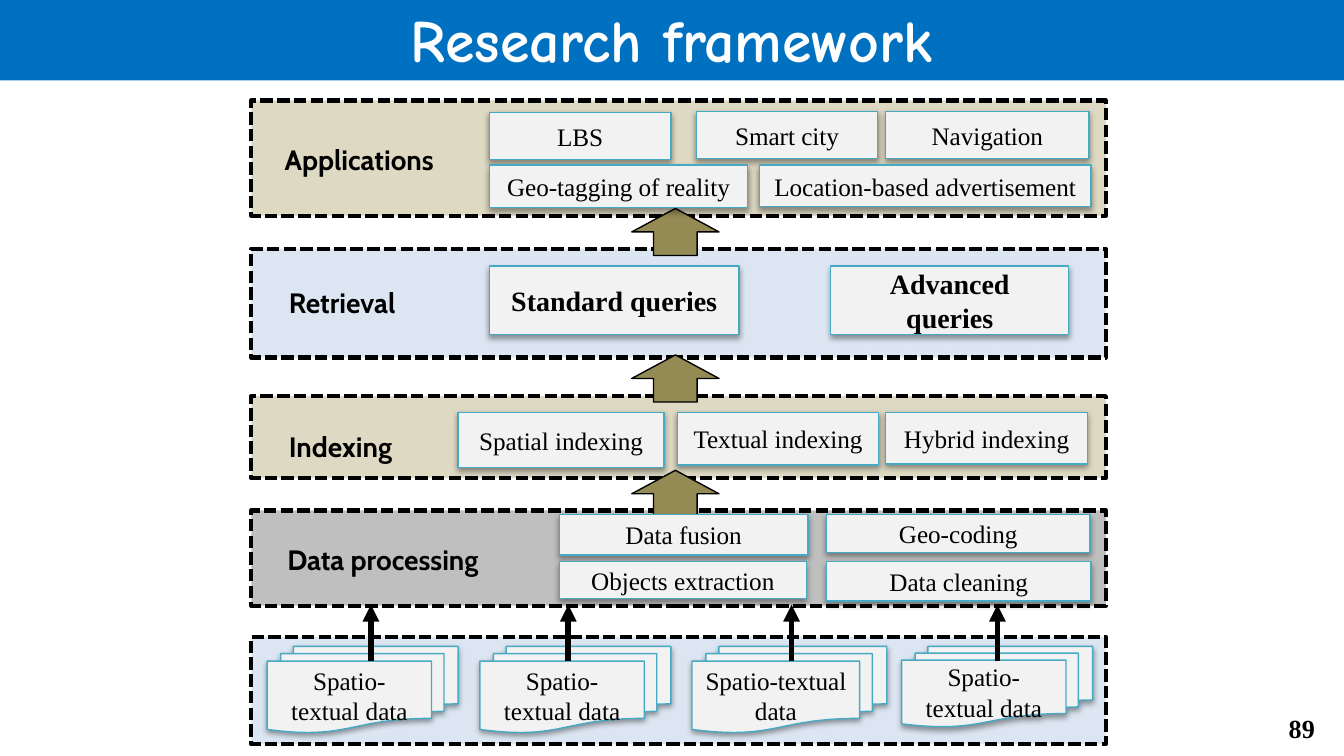
from lxml.etree import SubElement
from pptx import Presentation
from pptx.dml.color import RGBColor
from pptx.enum.dml import MSO_LINE
from pptx.enum.shapes import MSO_CONNECTOR, MSO_SHAPE as Shp
from pptx.enum.text import MSO_ANCHOR, PP_ALIGN
from pptx.oxml.ns import qn
from pptx.util import Cm, Pt

COLORS = dict(title="0070C0", white="FFFFFF", black="000000", sand="DDD9C3",
              sky="DCE6F2", gray="BFBFBF", box="F2F2F2", edge="46AAC5", arrow="948A54")
SERIF = "Times New Roman"

# Content: lengths in cm; box entries are (text, left, top, width, height)
BAND_X, BAND_W = 4.75, 16.15
LAYERS = [
    dict(top=1.9, height=2.18, fill="sand", label=("Applications", 5.13, 2.57), boxes=[
        ("LBS", 9.25, 2.13, 3.43, 0.89),
        ("Smart city", 13.16, 2.11, 3.43, 0.89),
        ("Navigation", 16.74, 2.11, 3.84, 0.89),
        ("Geo-tagging of reality", 9.25, 3.12, 4.88, 0.81),
        ("Location-based advertisement", 14.35, 3.12, 6.27, 0.79)]),
    dict(top=4.7, height=2.06, fill="sky", label=("Retrieval", 5.21, 5.28), strong=True, boxes=[
        ("Standard queries", 9.25, 5.03, 4.72, 1.3),
        ("Advanced queries", 15.7, 5.03, 4.5, 1.3)]),
    dict(top=7.49, height=1.55, fill="sand", label=("Indexing", 5.21, 8.0), boxes=[
        ("Spatial indexing", 8.66, 7.8, 3.89, 1.04),
        ("Textual indexing", 12.8, 7.8, 3.81, 0.99),
        ("Hybrid indexing", 16.74, 7.8, 3.81, 0.97)]),
    dict(top=9.65, height=1.8, fill="gray", label=("Data processing", 5.18, 10.13), boxes=[
        ("Data fusion", 10.57, 9.73, 4.7, 0.76),
        ("Geo-coding", 15.62, 9.73, 4.98, 0.71),
        ("Objects extraction", 10.57, 10.62, 4.67, 0.69),
        ("Data cleaning", 15.62, 10.62, 5.0, 0.74)]),
    dict(top=12.04, height=2.03, fill="sky", shape=Shp.FLOWCHART_MULTIDOCUMENT, boxes=[
        ("Spatio-textual data", left, 12.22, width, height)
        for left, width, height in [(5.05, 3.61, 1.63), (9.07, 3.61, 1.63),
                                    (13.08, 3.68, 1.63), (17.04, 3.61, 1.52)]]),
]
BLOCK_ARROW_TOPS = [3.94, 6.71, 8.89]
DATA_ARROW_XS = [7.01, 10.74, 14.96, 18.85]


def rgb(name):
    return RGBColor.from_string(COLORS[name])


def write(sp, text, size, font=SERIF, color="black", bold=False, align=PP_ALIGN.CENTER):
    tf = sp.text_frame
    tf.word_wrap = True
    tf.text = text
    p = tf.paragraphs[0]
    p.alignment = align
    f = p.runs[0].font
    f.size, f.name, f.bold = Pt(size), font, bold
    f.color.rgb = rgb(color)
    return tf


def add_shape(kind, x, y, w, h, fill, line, weight):
    sp = slide.shapes.add_shape(kind, Cm(x), Cm(y), Cm(w), Cm(h))
    sp.shadow.inherit = False
    sp.fill.solid()
    sp.fill.fore_color.rgb = rgb(fill)
    sp.line.color.rgb = rgb(line)
    sp.line.width = Pt(weight)
    return sp


def add_text(text, x, y, w, h, size, **style):
    write(slide.shapes.add_textbox(Cm(x), Cm(y), Cm(w), Cm(h)), text, size, bold=True, **style)


def add_shadow(sp):
    effects = sp._element.spPr.find(qn("a:effectLst"))
    shadow = SubElement(effects, qn("a:outerShdw"), blurRad="40000", dist="20000",
                        dir="5400000", rotWithShape="0")
    color = SubElement(shadow, qn("a:srgbClr"), val=COLORS["black"])
    SubElement(color, qn("a:alpha"), val="38000")


prs = Presentation()
prs.slide_width, prs.slide_height = Cm(25.4), Cm(14.29)
slide = prs.slides.add_slide(prs.slide_layouts[5])

# Title bar
title = slide.shapes.title
title.left, title.top, title.width, title.height = Cm(0), Cm(-0.05), Cm(25.4), Cm(1.57)
title.fill.solid()
title.fill.fore_color.rgb = rgb("title")
write(title, "Research framework", 32, "Comic Neue", "white", True).vertical_anchor = MSO_ANCHOR.MIDDLE

# Dashed layer bands
for layer in LAYERS:
    band = add_shape(Shp.RECTANGLE, BAND_X, layer["top"], BAND_W, layer["height"],
                     layer["fill"], "black", 2.25)
    band.line.dash_style = MSO_LINE.SQUARE_DOT

# Block arrows between layers
for top in BLOCK_ARROW_TOPS:
    add_shape(Shp.UP_ARROW, 11.94, top, 1.65, 0.89, "arrow", "black", 0.75)

# Layer labels and boxes
for layer in LAYERS:
    if "label" in layer:
        text, x, y = layer["label"]
        add_text(text, x, y, 4.95, 0.89, 15, font="Cabin", align=PP_ALIGN.LEFT)
    strong = layer.get("strong", False)
    for text, x, y, w, h in layer["boxes"]:
        sp = add_shape(layer.get("shape", Shp.RECTANGLE), x, y, w, h, "box", "edge", 0.75)
        add_shadow(sp)
        tf = write(sp, text, 15 if strong else 13.5, bold=strong)
        tf.vertical_anchor = MSO_ANCHOR.MIDDLE

# Arrows from the data sources to data processing
for x in DATA_ARROW_XS:
    c = slide.shapes.add_connector(MSO_CONNECTOR.STRAIGHT, Cm(x), Cm(12.5), Cm(x), Cm(11.43))
    c.line.color.rgb = rgb("black")
    c.line.width = Pt(3)
    SubElement(c.line._get_or_add_ln(), qn("a:tailEnd"), type="triangle")
    SubElement(c._element.spPr, qn("a:effectLst"))

# Slide number
add_text("89", 23.5, 13.34, 1.6, 0.86, 14, align=PP_ALIGN.RIGHT)

prs.save("out.pptx")
